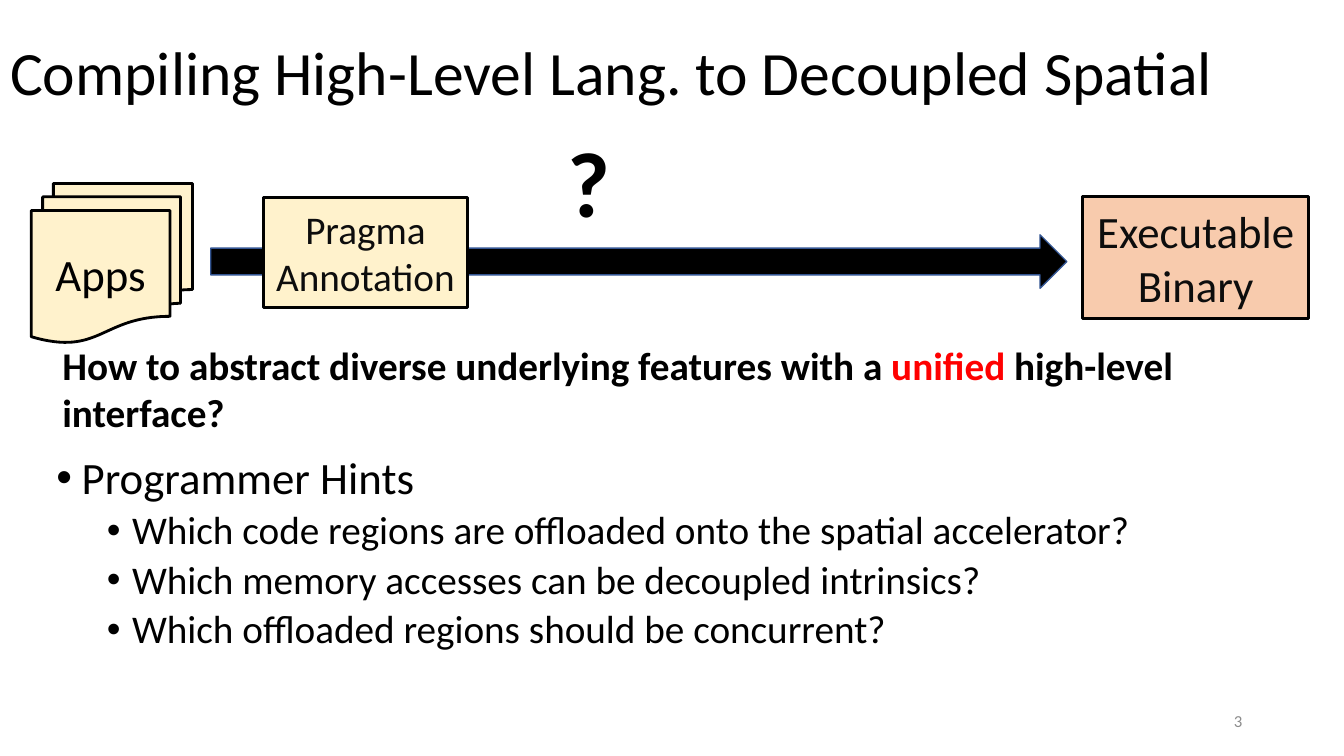
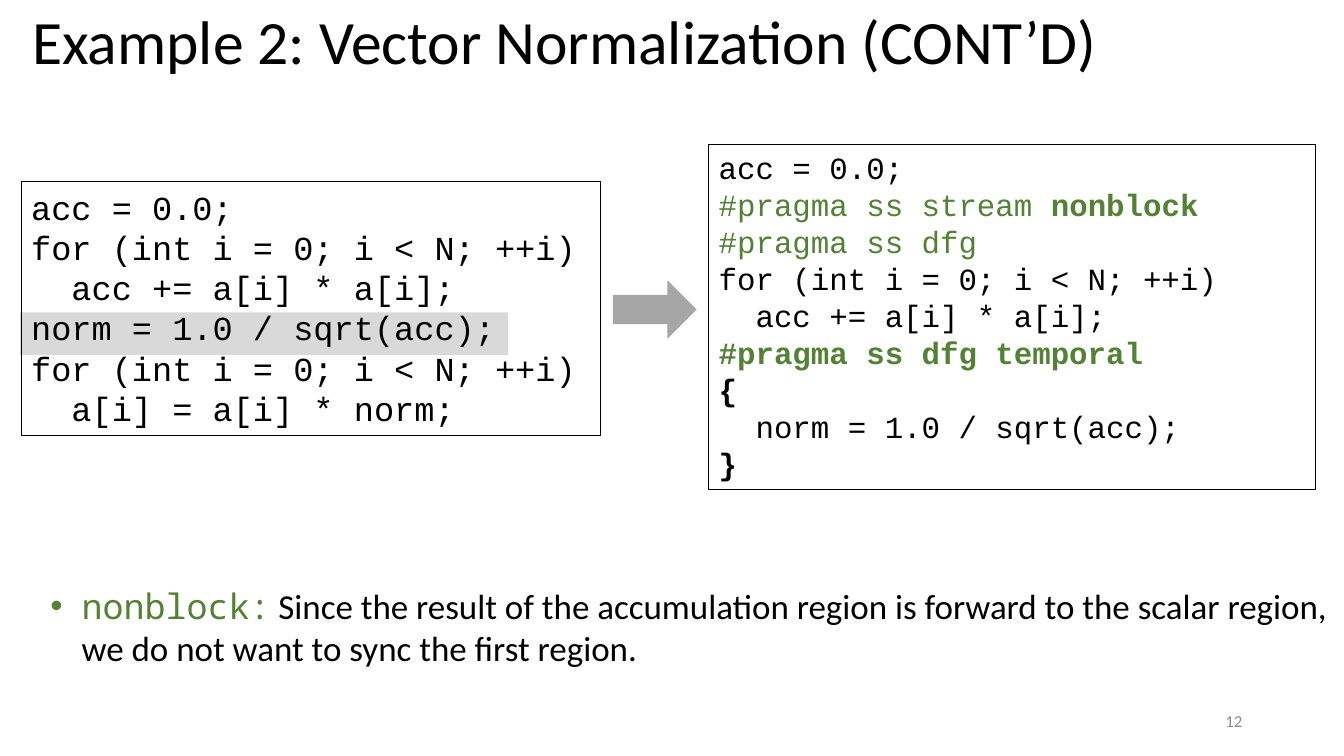
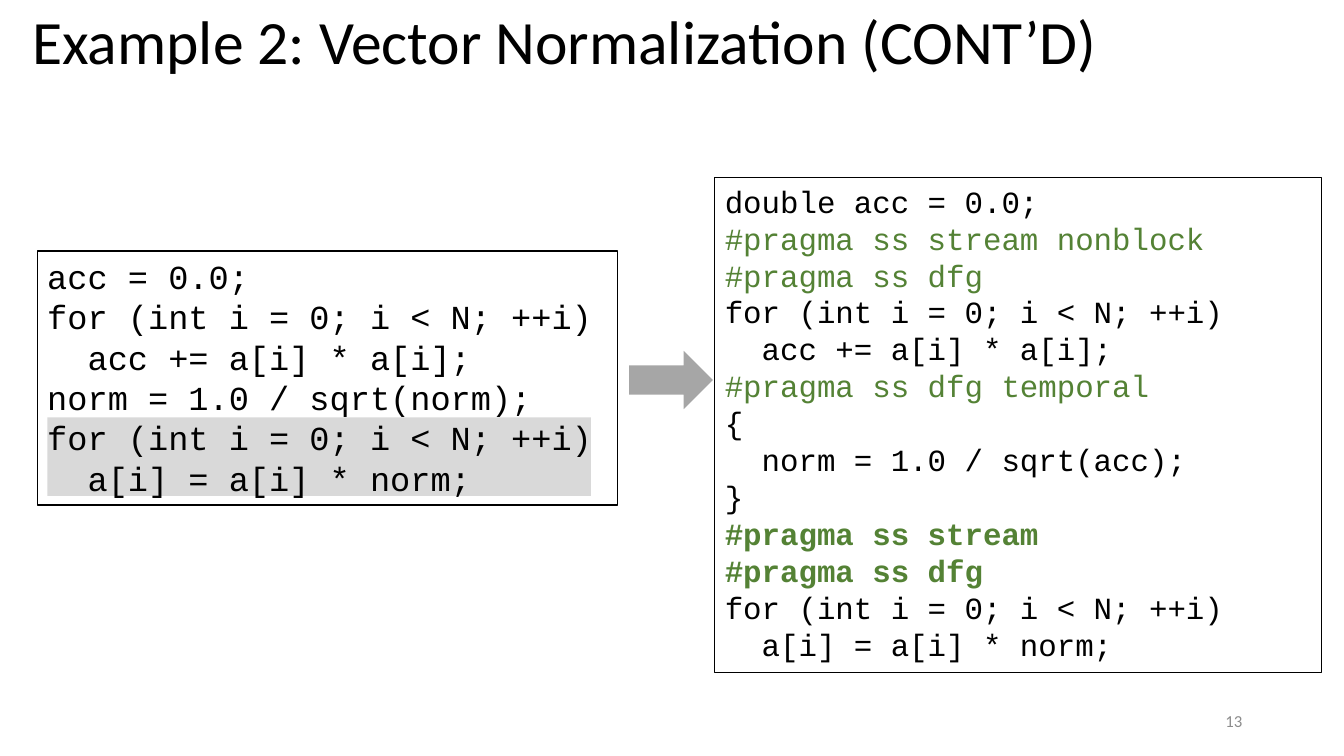
from lxml.etree import SubElement
from pptx import Presentation
from pptx.dml.color import RGBColor
from pptx.enum.shapes import MSO_SHAPE
from pptx.enum.text import MSO_ANCHOR, MSO_AUTO_SIZE, PP_ALIGN
from pptx.oxml.ns import qn
from pptx.util import Emu, Pt

PX = 9144
BLACK, INK, RED, GREEN = "000000", "0D0D0D", "FF0000", "548235"
CREAM, PEACH, BAND, GRAY, MUTED = "FFF2CC", "F8CBAD", "D9D9D9", "A6A6A6", "8C8C8C"
ARROW_EDGE = "325491"
SANS, CODE, MONO = "Calibri", "Courier New", "Noto Sans Mono"
PRAGMA = {"color": GREEN}
BOLD = {"bold": True}
BOLD_PRAGMA = {"color": GREEN, "bold": True}


def px(length):
    return Emu(length * PX)


def rgb(color):
    return RGBColor.from_string(color)


def place(shape, box):
    shape.left, shape.top, shape.width, shape.height = map(px, box)


def add_run(paragraph, text, size, font=SANS, color=BLACK, bold=False):
    run = paragraph.add_run()
    run.text = text
    run.font.size = Pt(size)
    run.font.name = font
    run.font.bold = bold
    run.font.color.rgb = rgb(color)


def set_bullet(paragraph, left, hanging):
    properties = paragraph._p.get_or_add_pPr()
    properties.set("marL", str(left * PX))
    properties.set("indent", str(-hanging * PX))
    SubElement(properties, qn("a:buFont")).set("typeface", "Arial")
    SubElement(properties, qn("a:buChar")).set("char", "•")


def prepare_frame(shape, anchor):
    frame = shape.text_frame
    frame.word_wrap = True
    frame.auto_size = MSO_AUTO_SIZE.NONE
    frame.vertical_anchor = anchor
    return frame


def write(shape, paragraphs, size, font=SANS, align=PP_ALIGN.LEFT, anchor=MSO_ANCHOR.TOP):
    frame = prepare_frame(shape, anchor)
    for index, runs in enumerate(paragraphs):
        paragraph = frame.add_paragraph() if index else frame.paragraphs[0]
        paragraph.alignment = align
        for text, style in runs:
            add_run(paragraph, text, **{"size": size, "font": font, **style})


def add_text(slide, box, paragraphs, size, **options):
    shape = slide.shapes.add_textbox(*map(px, box))
    write(shape, paragraphs, size, **options)


def add_figure(slide, kind, box, fill=None, line=None, width=1):
    shape = slide.shapes.add_shape(kind, *map(px, box))
    shape.shadow.inherit = False
    if fill:
        shape.fill.solid()
        shape.fill.fore_color.rgb = rgb(fill)
    else:
        shape.fill.background()
    if line:
        shape.line.color.rgb = rgb(line)
        shape.line.width = Pt(width)
    else:
        shape.line.fill.background()
    return shape


def add_stage(slide, kind, box, label, fill, size, color):
    shape = add_figure(slide, kind, box, fill, BLACK, 2)
    write(shape, [[(label, {"color": color})]], size,
          align=PP_ALIGN.CENTER, anchor=MSO_ANCHOR.MIDDLE)


def start_slide(presentation, layout, title, title_box, number):
    slide = presentation.slides.add_slide(presentation.slide_layouts[layout])
    place(slide.shapes.title, title_box)
    write(slide.shapes.title, [[(title, {})]], 44, anchor=MSO_ANCHOR.MIDDLE)
    slide.shapes.title.text_frame.paragraphs[0].line_spacing = 0.9
    add_text(slide, (942, 695, 300, 40), [[(number, {"color": MUTED})]], 12,
             align=PP_ALIGN.RIGHT, anchor=MSO_ANCHOR.MIDDLE)
    return slide


def fill_body(slide, box, items, spacing):
    body = slide.placeholders[1]
    place(body, box)
    frame = prepare_frame(body, MSO_ANCHOR.TOP)
    for index, (level, left, hanging, size, runs) in enumerate(items):
        paragraph = frame.add_paragraph() if index else frame.paragraphs[0]
        paragraph.level = level
        set_bullet(paragraph, left, hanging)
        paragraph.line_spacing = spacing
        paragraph.space_before = Pt(5 if index else 0)
        for text, style in runs:
            add_run(paragraph, text, **{"size": size, **style})


def add_flow(slide, left, top):
    arrow_box = (left + 178, top + 51, 849, 53)
    add_figure(slide, MSO_SHAPE.RIGHT_ARROW, arrow_box, BLACK, ARROW_EDGE)
    stages = [
        (MSO_SHAPE.FLOWCHART_MULTIDOCUMENT, (0, 0, 160, 158), "Apps", CREAM, 32, BLACK),
        (MSO_SHAPE.RECTANGLE, (230, 14, 203, 109), "Pragma Annotation", CREAM, 28, INK),
        (MSO_SHAPE.RECTANGLE, (1043, 13, 224, 121), "Executable Binary", PEACH, 32, INK),
    ]
    for kind, (x, y, width, height), *look in stages:
        add_stage(slide, kind, (left + x, top + y, width, height), *look)
    add_text(slide, (left + 522, top - 63, 80, 121), [[("?", BOLD)]], 66)


def add_code(slide, box, lines, size):
    shape = add_figure(slide, MSO_SHAPE.RECTANGLE, box, line=BLACK, width=0.75)
    paragraphs = [[(line, {})] if isinstance(line, str) else line for line in lines]
    write(shape, paragraphs, size, font=CODE)


def add_code_step(slide, source_box, band, source, arrow, target_box, target):
    left, top = source_box[:2]
    x, y, width, height = band
    add_figure(slide, MSO_SHAPE.RECTANGLE, (left + x, top + y, width, height), BAND)
    add_code(slide, source_box, source, 24)
    add_figure(slide, MSO_SHAPE.RIGHT_ARROW, (*arrow, 83, 58), GRAY)
    add_code(slide, target_box, target, 22)


def normalization_source(argument):
    return [
        "acc = 0.0;",
        LOOP,
        ACCUMULATE,
        f"norm = 1.0 / sqrt({argument});",
        LOOP,
        SCALE,
    ]


LOOP = "for (int i = 0; i < N; ++i)"
ACCUMULATE = "  acc += a[i] * a[i];"
SCALE = "  a[i] = a[i] * norm;"
ROOT = "  norm = 1.0 / sqrt(acc);"
DFG = "#pragma ss dfg"
TEMPORAL = "#pragma ss dfg temporal"
EXAMPLE_TITLE = "Example 2: Vector Normalization (CONT’D)"
EXAMPLE_TITLE_BOX = (22, 0, 1150, 88)


def build_overview(presentation):
    slide = start_slide(presentation, 1, "Compiling High-Level Lang. to Decoupled Spatial",
                        (0, 2, 1219, 145), "3")
    add_flow(slide, 31, 182)
    question = [
        ("How to abstract diverse underlying features with a ", BOLD),
        ("unified", {"color": RED, "bold": True}),
        (" high-level interface?", BOLD),
    ]
    add_text(slide, (52, 334, 1146, 104), [question], 28)
    hints = [
        "Which code regions are offloaded onto the spatial accelerator?",
        "Which memory accesses can be decoupled intrinsics?",
        "Which offloaded regions should be concurrent?",
    ]
    items = [(0, 25, 25, 32, [("Programmer Hints", {})])]
    items += [(1, 75, 25, 28, [(hint, {})]) for hint in hints]
    fill_body(slide, (46, 447, 1242, 303), items, 0.9)


def build_scalar_step(presentation):
    slide = start_slide(presentation, 1, EXAMPLE_TITLE, EXAMPLE_TITLE_BOX, "12")
    target = [
        "acc = 0.0;",
        [("#pragma ss stream ", PRAGMA), ("nonblock", BOLD_PRAGMA)],
        [(DFG, PRAGMA)],
        LOOP,
        ACCUMULATE,
        [(TEMPORAL, BOLD_PRAGMA)],
        [("{", BOLD)],
        ROOT,
        [("}", BOLD)],
    ]
    add_code_step(slide, (21, 180, 575, 252), (-1, 130, 484, 42), normalization_source("acc"),
                  (608, 278), (703, 143, 602, 343), target)
    explanation = [
        ("nonblock:", {"font": MONO, "color": GREEN}),
        (" Since the result of the accumulation region is forward to the scalar region, "
         "we do not want to sync the first region.", {}),
    ]
    fill_body(slide, (40, 575, 1293, 94), [(0, 31, 31, 25, explanation)], 1.0)


def build_vector_step(presentation):
    slide = start_slide(presentation, 5, EXAMPLE_TITLE, EXAMPLE_TITLE_BOX, "13")
    target = [
        "double acc = 0.0;",
        [("#pragma ss stream nonblock", PRAGMA)],
        [(DFG, PRAGMA)],
        LOOP,
        ACCUMULATE,
        [(TEMPORAL, PRAGMA)],
        "{",
        ROOT,
        "}",
        [("#pragma ss stream", BOLD_PRAGMA)],
        [(DFG, BOLD_PRAGMA)],
        LOOP,
        SCALE,
    ]
    add_code_step(slide, (37, 249, 575, 252), (10, 165, 539, 78), normalization_source("norm"),
                  (624, 348), (709, 176, 602, 491), target)


def main():
    presentation = Presentation()
    presentation.slide_width = px(1333)
    presentation.slide_height = px(750)
    build_overview(presentation)
    build_scalar_step(presentation)
    build_vector_step(presentation)
    presentation.save("out.pptx")


if __name__ == "__main__":
    main()
